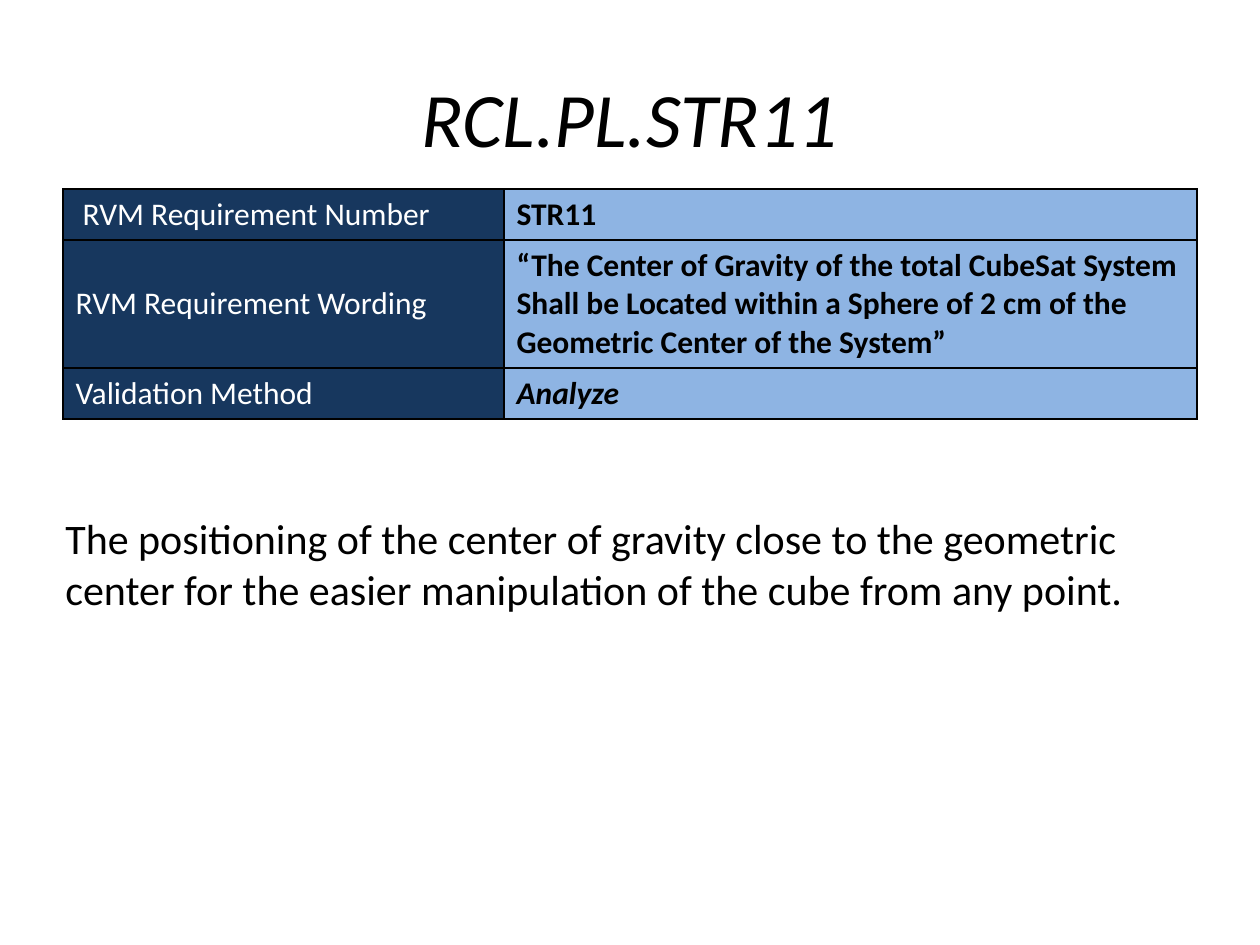
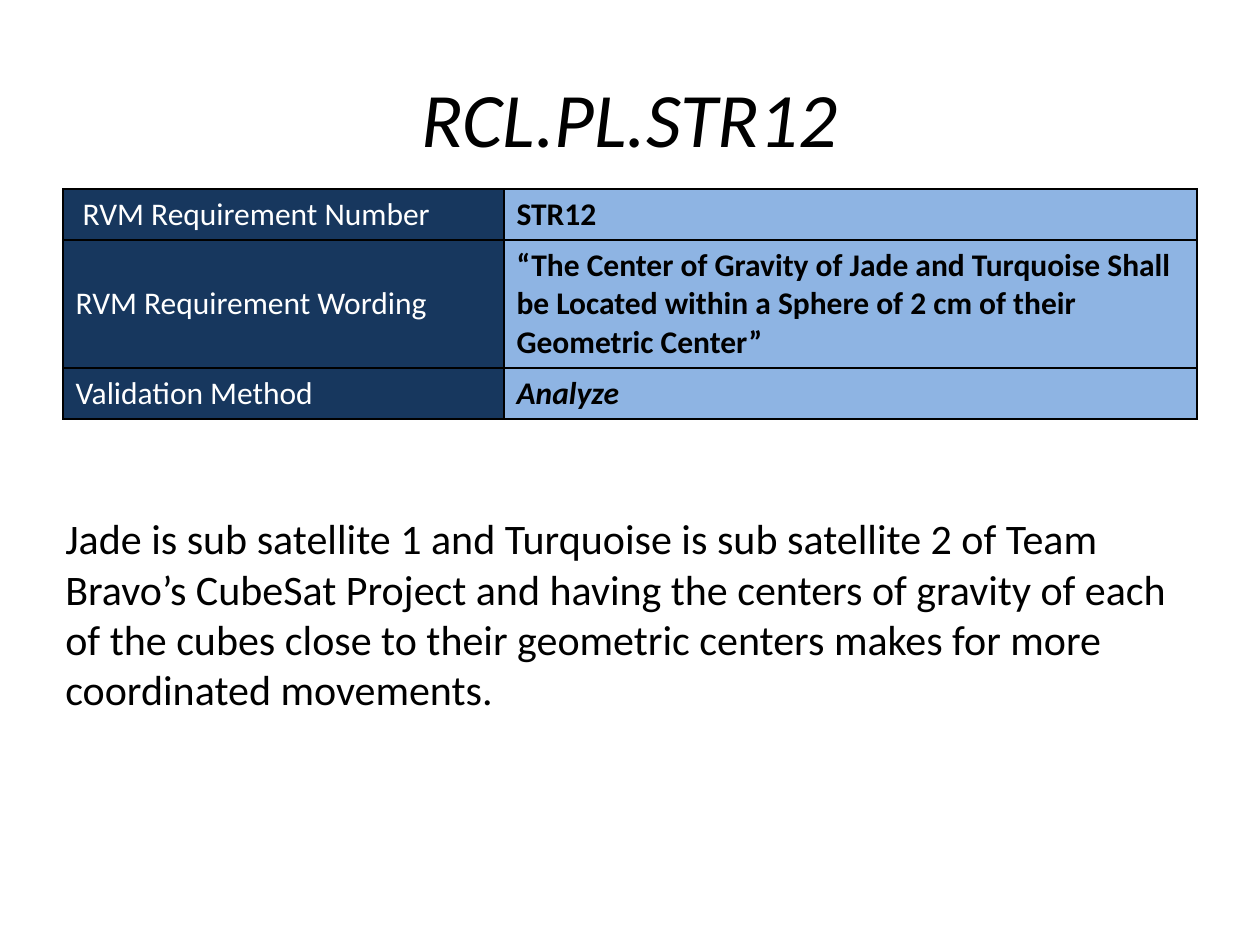
from lxml.etree import SubElement
from pptx import Presentation
from pptx.dml.color import RGBColor
from pptx.enum.text import MSO_ANCHOR, MSO_AUTO_SIZE, PP_ALIGN
from pptx.oxml.ns import qn
from pptx.util import Inches, Pt

FONT = "Calibri"
COLORS = {
    "text": "000000",
    "label_text": "FFFFFF",
    "label_fill": "17375E",
    "value_fill": "8EB4E3",
    "border": "000000",
}
COLUMN_WIDTHS = (3.5, 5.5)
ROW_HEIGHTS = (0.4, 1.01, 0.4)
LABELS = (" RVM Requirement Number", "RVM Requirement Wording", "Validation Method")

# Requirement number, wording, validation method, rationale, rationale height
REQUIREMENTS = (
    (
        "STR11",
        "“The Center of Gravity of the total CubeSat System Shall be Located "
        "within a Sphere of 2 cm of the Geometric Center of the System”",
        "Analyze",
        "The positioning of the center of gravity close to the geometric center "
        "for the easier manipulation of the cube from any point.",
        0.91,
    ),
    (
        "STR12",
        "“The Center of Gravity of Jade and Turquoise Shall be Located "
        "within a Sphere of 2 cm of their Geometric Center”",
        "Analyze",
        "Jade is sub satellite 1 and Turquoise is sub satellite 2 of Team Bravo’s "
        "CubeSat Project and having the centers of gravity of each of the cubes "
        "close to their geometric centers makes for more coordinated movements.",
        1.72,
    ),
)


def add_span(para, text, size, color="text", bold=False, italic=False):
    span = para.add_run()
    span.text = text
    span.font.name = FONT
    span.font.size = Pt(size)
    span.font.bold = bold
    span.font.italic = italic
    span.font.color.rgb = RGBColor.from_string(COLORS[color])


def set_title(page, text):
    title = page.shapes.title
    title.left, title.top = Inches(0.5), Inches(0.3)
    title.width, title.height = Inches(9), Inches(1.25)
    title.text_frame.vertical_anchor = MSO_ANCHOR.MIDDLE
    para = title.text_frame.paragraphs[0]
    para.alignment = PP_ALIGN.CENTER
    add_span(para, text, 44, italic=True)


def add_borders(cell):
    properties = cell._tc.get_or_add_tcPr()
    for side in ("a:lnL", "a:lnR", "a:lnT", "a:lnB"):
        line = SubElement(properties, qn(side), w=str(Pt(1)))
        fill = SubElement(line, qn("a:solidFill"))
        SubElement(fill, qn("a:srgbClr"), val=COLORS["border"])


def fill_cell(cell, text, fill, anchor, **style):
    add_borders(cell)
    cell.fill.solid()
    cell.fill.fore_color.rgb = RGBColor.from_string(COLORS[fill])
    cell.vertical_anchor = anchor
    add_span(cell.text_frame.paragraphs[0], text, 18, **style)


def add_requirement_table(page, values):
    table = page.shapes.add_table(
        len(LABELS), len(COLUMN_WIDTHS), Inches(0.5), Inches(1.5),
        Inches(sum(COLUMN_WIDTHS)), Inches(sum(ROW_HEIGHTS)),
    ).table
    for column, width in zip(table.columns, COLUMN_WIDTHS):
        column.width = Inches(width)
    for index, (label, value) in enumerate(zip(LABELS, values)):
        table.rows[index].height = Inches(ROW_HEIGHTS[index])
        fill_cell(table.cell(index, 0), label, "label_fill", MSO_ANCHOR.MIDDLE,
                  color="label_text")
        fill_cell(table.cell(index, 1), value, "value_fill", MSO_ANCHOR.TOP,
                  bold=True, italic=label == "Validation Method")


def add_rationale(page, text, height):
    box = page.shapes.add_textbox(Inches(0.42), Inches(4.02), Inches(9.08), Inches(height))
    box.text_frame.word_wrap = True
    box.text_frame.auto_size = MSO_AUTO_SIZE.SHAPE_TO_FIT_TEXT
    add_span(box.text_frame.paragraphs[0], text, 24)


def main():
    deck = Presentation()
    deck.slide_width, deck.slide_height = Inches(10), Inches(7.5)
    title_only = deck.slide_layouts.get_by_name("Title Only")

    # One page per requirement
    for number, wording, method, rationale, height in REQUIREMENTS:
        page = deck.slides.add_slide(title_only)
        set_title(page, f"RCL.PL.{number}")
        add_requirement_table(page, (number, wording, method))
        add_rationale(page, rationale, height)

    deck.save("out.pptx")


if __name__ == "__main__":
    main()
